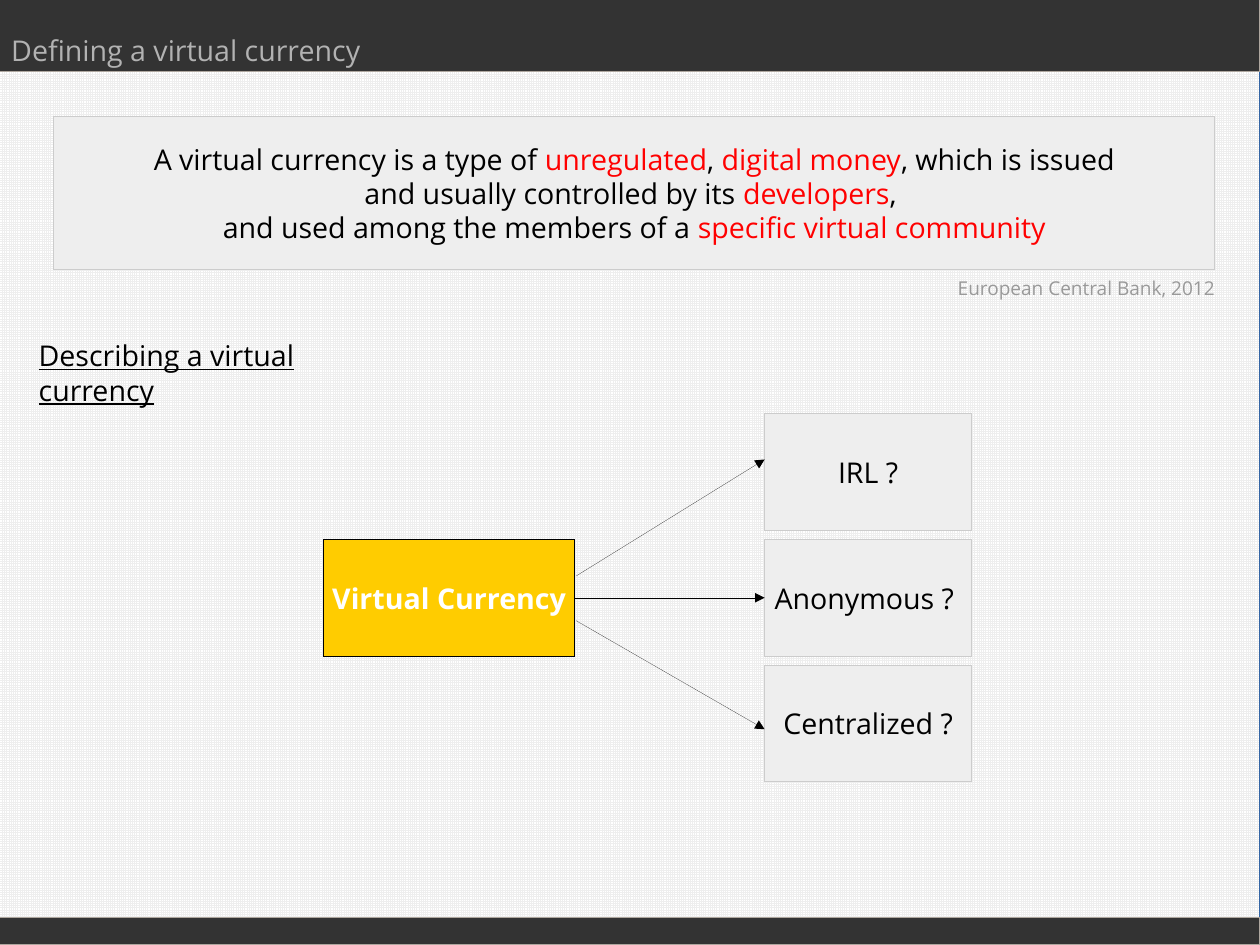
"""Build a slide that defines a virtual currency and its three questions."""
import pptx
import pptx.dml.color
import pptx.enum.dml
import pptx.enum.shapes
import pptx.enum.text
import pptx.oxml
import pptx.oxml.ns
import pptx.util
from pptx.util import Inches

COLORS = {
    "bar": "333333", "bar_line": "AEA79F", "title": "B2B2B2",
    "panel": "EEEEEE", "panel_line": "CCCCCC", "grid_line": "3465A4",
    "accent": "FFCC00", "highlight": "FF0000", "source": "999999",
    "black": "000000", "white": "FFFFFF",
}
ALIGN = pptx.enum.text.PP_ALIGN
CM_PER_INCH = 2.54
WIDTH, HEIGHT = 28 / CM_PER_INCH, 21 / CM_PER_INCH
HEADER, FOOTER_TOP = 0.63, 8.03


def rgb(name):
    """Return the named colour."""
    return pptx.dml.color.RGBColor.from_string(COLORS[name])


def set_hairline(item, color):
    """Give a shape or connector the thinnest line and return its XML."""
    item.line.color.rgb = rgb(color)
    outline = item._element.spPr.find(pptx.oxml.ns.qn("a:ln"))
    outline.set("w", "0")
    return outline


def write(frame, paragraphs, align=ALIGN.LEFT, size=18, bold=None, underline=None):
    """Fill a text frame with paragraphs of (text, colour) runs."""
    for index, runs in enumerate(paragraphs):
        paragraph = frame.add_paragraph() if index else frame.paragraphs[0]
        paragraph.alignment = align
        for text, color in runs:
            run = paragraph.add_run()
            run.text = text
            run.font.name = "Open Sans"
            run.font.size = pptx.util.Pt(size)
            run.font.bold = bold
            run.font.underline = underline
            run.font.color.rgb = rgb(color)


def add_panel(slide, left, top, width, height, fill, line):
    """Add a rectangle with a hairline border."""
    panel = slide.shapes.add_shape(
        pptx.enum.shapes.MSO_SHAPE.RECTANGLE,
        Inches(left), Inches(top), Inches(width), Inches(height))
    panel.shadow.inherit = False
    panel.fill.solid()
    panel.fill.fore_color.rgb = rgb(fill)
    set_hairline(panel, line)
    return panel


def add_card(slide, left, top, width, height, paragraphs,
             fill="panel", line="panel_line", bold=None):
    """Add a panel with centred text."""
    card = add_panel(slide, left, top, width, height, fill, line)
    card.text_frame.word_wrap = False
    card.text_frame.vertical_anchor = pptx.enum.text.MSO_ANCHOR.MIDDLE
    write(card.text_frame, paragraphs, ALIGN.CENTER, bold=bold)
    return card


def add_label(slide, left, top, width, height, text, color, **style):
    """Add a line of free text."""
    label = slide.shapes.add_textbox(
        Inches(left), Inches(top), Inches(width), Inches(height))
    label.text_frame.word_wrap = True
    write(label.text_frame, [[(text, color)]], **style)


def add_arrow(slide, start, end):
    """Add a thin arrow between two points."""
    arrow = slide.shapes.add_connector(
        pptx.enum.shapes.MSO_CONNECTOR.STRAIGHT,
        *(Inches(value) for value in (*start, *end)))
    namespace = pptx.oxml.ns.nsdecls("a")
    set_hairline(arrow, "black").append(
        pptx.oxml.parse_xml(f'<a:tailEnd {namespace} type="triangle"/>'))
    arrow._element.spPr.append(pptx.oxml.parse_xml(f"<a:effectLst {namespace}/>"))
    return arrow


def add_background(slide):
    """Add the gridded body and the dark bars."""
    body = add_panel(slide, 0, HEADER, WIDTH, FOOTER_TOP - HEADER, "panel", "grid_line")
    body.fill.patterned()
    body.fill.pattern = pptx.enum.dml.MSO_PATTERN.SMALL_GRID
    body.fill.fore_color.rgb = rgb("panel")
    body.fill.back_color.rgb = rgb("white")
    for top, height in ((0, HEADER), (FOOTER_TOP, HEIGHT - FOOTER_TOP)):
        add_panel(slide, 0, top, WIDTH, height, "bar", "bar_line")


def add_definition(slide):
    """Add the quoted definition and its source."""
    add_card(slide, 0.47, 1.02, 10.16, 1.34, [
        [("A virtual currency is a type of ", "black"), ("unregulated", "highlight"),
         (", ", "black"), ("digital money", "highlight"),
         (", which is issued", "black")],
        [("and usually controlled by its ", "black"), ("developers", "highlight"),
         (", ", "black")],
        [("and used among the members of a", "black"),
         (" specific virtual community", "highlight")],
    ])
    add_label(slide, 8.21, 2.37, 2.52, 0.33, "European Central Bank, 2012",
              "source", align=ALIGN.RIGHT, size=12)


def add_diagram(slide):
    """Add the currency card and an arrow to each question."""
    first_top, pitch = 3.62, 1.1
    currency = add_card(slide, 2.83, first_top + pitch, 2.2, 1.02,
                        [[("Virtual Currency", "white")]],
                        fill="accent", line="black", bold=True)
    questions = [
        add_card(slide, 6.69, first_top + pitch * row, 1.81, 1.02, [[(text, "black")]])
        for row, text in enumerate(("IRL ?", "Anonymous ? ", "Centralized ?"))
    ]
    _, straight, _ = [
        add_arrow(slide, (5.04, start), (6.69, end))
        for start, end in ((5.43, 6.38), (5.2, 5.2), (5.04, 4.02))
    ]
    straight.begin_connect(currency, 3)
    straight.end_connect(questions[1], 1)


def main():
    """Build and save the slide."""
    deck = pptx.Presentation()
    deck.slide_width, deck.slide_height = Inches(WIDTH), Inches(HEIGHT)
    slide = deck.slides.add_slide(deck.slide_layouts[6])
    add_background(slide)
    add_label(slide, 0, 0.24, 4.33, 0.44, "Defining a virtual currency", "title")
    add_definition(slide)
    add_label(slide, 0.24, 2.91, 3.46, 0.78, "Describing a virtual currency",
              "black", underline=True)
    add_diagram(slide)
    deck.save("out.pptx")


if __name__ == "__main__":
    main()
